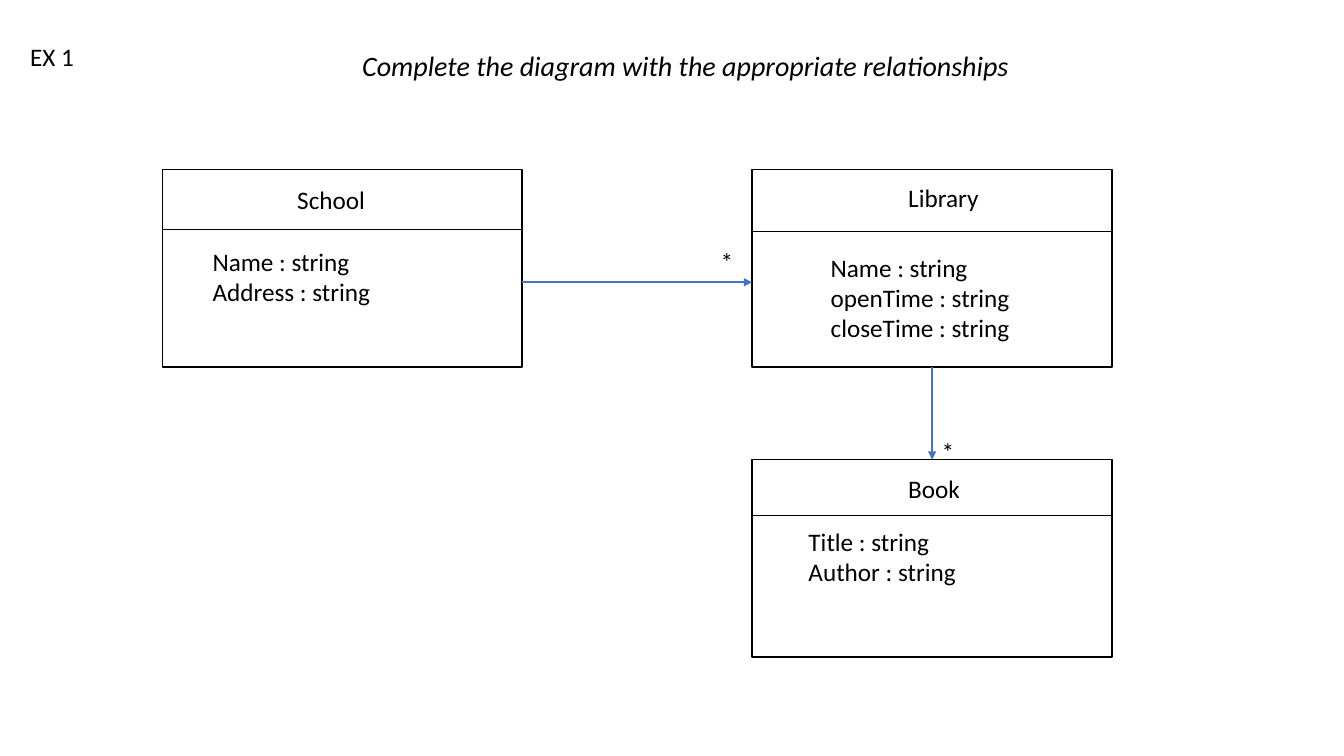
from lxml import etree
from pptx import Presentation
from pptx.dml.color import RGBColor
from pptx.enum.shapes import MSO_CONNECTOR as Line, MSO_SHAPE as Shape
from pptx.enum.text import MSO_ANCHOR as Anchor, MSO_AUTO_SIZE as Fit, PP_ALIGN as Align
from pptx.oxml.ns import qn
from pptx.util import Pt

SCALE = 9144
BLACK = RGBColor(0, 0, 0)
WHITE = RGBColor(255, 255, 255)
BLUE = RGBColor(0x44, 0x72, 0xC4)
WIDTH, HEIGHT = 357, 196


def px(*nums):
    return [num * SCALE for num in nums]


def style(par, size=18, italic=False):
    font = par.font
    font.name, font.size, font.italic = "Calibri", Pt(size), italic
    font.bold = False
    font.color.rgb = BLACK


def add_title(slide, text, *area):
    title = slide.shapes.title
    title.left, title.top, title.width, title.height = px(*area)
    frame = title.text_frame
    frame.text = text
    frame.word_wrap = True
    frame.auto_size = Fit.NONE
    frame.vertical_anchor = Anchor.TOP
    par = frame.paragraphs[0]
    par.alignment = Align.CENTER
    style(par, 20, True)


def add_text(slide, lines, *area, wrap=True):
    frame = slide.shapes.add_textbox(*px(*area)).text_frame
    frame.word_wrap = wrap
    frame.auto_size = Fit.SHAPE_TO_FIT_TEXT
    frame.text = "\n".join(lines)
    for par in frame.paragraphs:
        style(par)


def add_line(slide, ends, color, width):
    line = slide.shapes.add_connector(Line.STRAIGHT, *px(*ends))
    line.line.color.rgb = color
    line.line.width = Pt(width)
    etree.SubElement(line._element.spPr, qn("a:effectLst"))
    return line


def add_arrow(slide, *ends):
    arrow = add_line(slide, ends, BLUE, 1.5)
    tail = etree.SubElement(arrow.line._get_or_add_ln(), qn("a:tailEnd"))
    tail.set("type", "triangle")
    return arrow


def add_class(slide, left, top, rule, name, spot, fields, area):
    box = slide.shapes.add_shape(Shape.RECTANGLE, *px(left, top, WIDTH, HEIGHT))
    box.shadow.inherit = False
    box.fill.solid()
    box.fill.fore_color.rgb = WHITE
    box.line.color.rgb = BLACK
    box.line.width = Pt(1)
    add_line(slide, (left, rule, left + WIDTH, rule), BLACK, 0.5)
    add_text(slide, [name], *spot, 110, 40)
    add_text(slide, fields, *area)
    return box


def main():
    deck = Presentation()
    deck.slide_width, deck.slide_height = px(1333, 750)
    slide = deck.slides.add_slide(deck.slide_layouts[5])
    add_title(slide, "Complete the diagram with the appropriate relationships",
              319, 43, 722, 44)
    add_text(slide, ["EX 1"], 20, 36, 70, 40, wrap=False)

    add_class(slide, 161, 168, 228, "School", (285, 178),
              ["Name : string", "Address : string"], (201, 239, 249, 71))
    library = add_class(slide, 746, 168, 230, "Library", (891, 176),
                        ["Name : string", "openTime : string", "closeTime : string"],
                        (814, 245, 249, 101))
    book = add_class(slide, 746, 456, 511, "Book", (891, 465),
                     ["Title : string", "Author : string"], (792, 517, 249, 71))

    add_arrow(slide, 518, 280, 746, 280)
    link = add_arrow(slide, 924, 364, 924, 456)
    link.begin_connect(library, 2)
    link.end_connect(book, 0)
    for left, top in ((705, 239), (924, 428)):
        add_text(slide, ["*"], left, top, 43, 40)
    deck.save("out.pptx")


if __name__ == "__main__":
    main()
